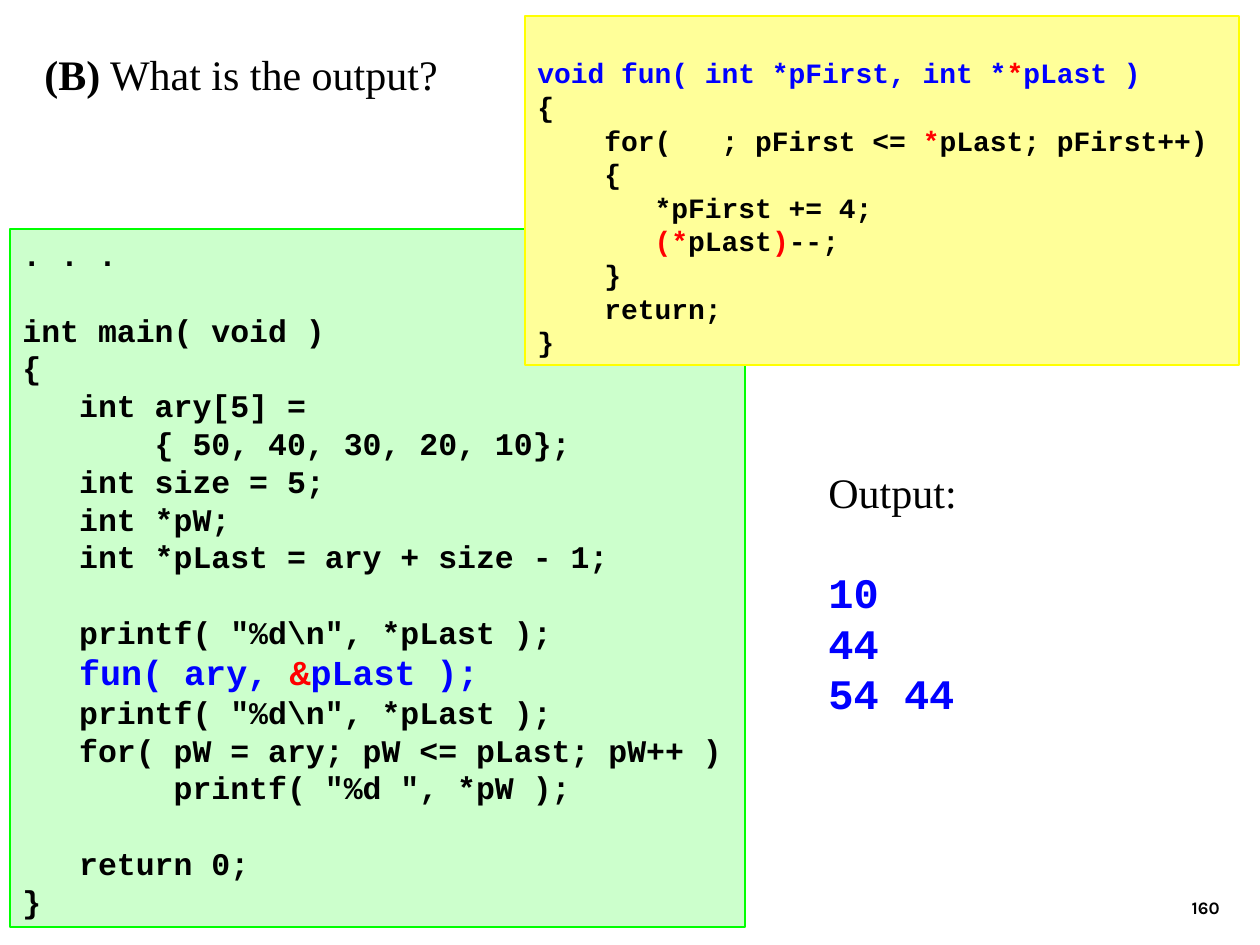
from pptx import Presentation
from pptx.dml.color import RGBColor as Rgb
from pptx.enum.shapes import MSO_SHAPE as Form
from pptx.enum.text import MSO_ANCHOR as Anchor, MSO_AUTO_SIZE as Fit, PP_ALIGN as Align
from pptx.util import Pt

PX = 914400 / 126
HEX = {
    "black": "000000", "blue": "0000FF", "red": "FF0000",
    "mint": "CCFFCC", "green": "00FF00", "cream": "FFFF99", "yellow": "FFFF00",
}
MONO, SERIF, SANS = "Courier New", "Times New Roman", "Karla"
GAP = None  # stands for an empty line, made with space before the next one


def px(n):
    return round(n * PX)


def tint(name):
    return Rgb.from_string(HEX[name])


class Page:
    def __init__(self, deck):
        self.slide = deck.slides.add_slide(deck.slide_layouts[6])

    def fill(self, frame, lines, size, face, bold=False, color="black", align=Align.LEFT):
        """Write lines; each is a string or a list of (text, colour, size) runs."""
        first, space = True, 0
        for line in lines:
            if line is GAP:
                space = size * 1.2
                continue
            para = frame.paragraphs[0] if first else frame.add_paragraph()
            first = False
            para.alignment = align
            if space:
                para.space_before = Pt(space)
                space = 0
            font = para.font
            font.size, font.name, font.bold = Pt(size), face, bold
            font.color.rgb = tint(color)
            for part in [(line,)] if isinstance(line, str) else line:
                run = para.add_run()
                run.text = part[0]
                if len(part) > 1:
                    run.font.color.rgb = tint(part[1])
                if len(part) > 2:
                    run.font.size = Pt(part[2])

    def text(self, box, lines, size, face, wrap=False, anchor=Anchor.TOP, **style):
        frame = self.slide.shapes.add_textbox(*map(px, box)).text_frame
        frame.word_wrap = wrap
        frame.auto_size = Fit.NONE if wrap else Fit.SHAPE_TO_FIT_TEXT
        frame.vertical_anchor = anchor
        self.fill(frame, lines, size, face, **style)
        return frame

    def code(self, box, lines, size, back, edge, top=6):
        shape = self.slide.shapes.add_shape(Form.RECTANGLE, *map(px, box))
        shape.shadow.inherit = False
        shape.fill.solid()
        shape.fill.fore_color.rgb = tint(back)
        shape.line.color.rgb = tint(edge)
        shape.line.width = Pt(0.75)
        frame = shape.text_frame
        frame.word_wrap = True
        frame.vertical_anchor = Anchor.TOP
        frame.margin_top = px(top)
        self.fill(frame, lines, size, MONO, bold=True)


MAIN = [
    ". . .",
    GAP,
    "int main( void )",
    "{",
    "   int ary[5] =",
    "       { 50, 40, 30, 20, 10};",
    "   int size = 5;",
    "   int *pW;",
    "   int *pLast = ary + size - 1;",
    GAP,
    '   printf( "%d\\n", *pLast );',
    [("   ",), ("fun( ary, ", "blue", 20), ("&", "red", 20), ("pLast );", "blue", 20)],
    '   printf( "%d\\n", *pLast );',
    "   for( pW = ary; pW <= pLast; pW++ )",
    '        printf( "%d ", *pW );',
    GAP,
    "   return 0;",
    "}",
]
FUN = [
    [("void fun( int *pFirst, int *", "blue"), ("*", "red"), ("pLast )", "blue")],
    "{",
    [("    for(   ; pFirst <= ",), ("*", "red"), ("pLast; pFirst++)",)],
    "    {",
    "       *pFirst += 4;",
    [("       ",), ("(*", "red"), ("pLast",), (")", "red"), ("--;",)],
    "    }",
    "    return;",
    "}",
]


def main():
    deck = Presentation()
    deck.slide_width, deck.slide_height = px(1260), px(945)
    page = Page(deck)

    # Page number
    page.text((970, 861, 262, 63), ["160"], 10, SANS, wrap=True,
              anchor=Anchor.BOTTOM, bold=True, align=Align.RIGHT)

    # Output: heading in serif, values in code style
    frame = page.text((816, 460, 154, 265), ["Output:", GAP, "10", "44", "54 44"],
                      24, MONO, bold=True, color="blue")
    head = frame.paragraphs[0].font
    head.name, head.bold, head.color.rgb = SERIF, False, tint("black")

    # Code panels
    page.code((10, 229, 735, 698), MAIN, 18, "mint", "green")
    page.code((525, 16, 714, 349), FUN, 16, "cream", "yellow", top=40)

    # Question
    frame = page.text((32, 42, 420, 63), [[("(B)",), (" What is the output?",)]], 24, SERIF)
    frame.paragraphs[0].runs[0].font.bold = True

    deck.save("out.pptx")


if __name__ == "__main__":
    main()
